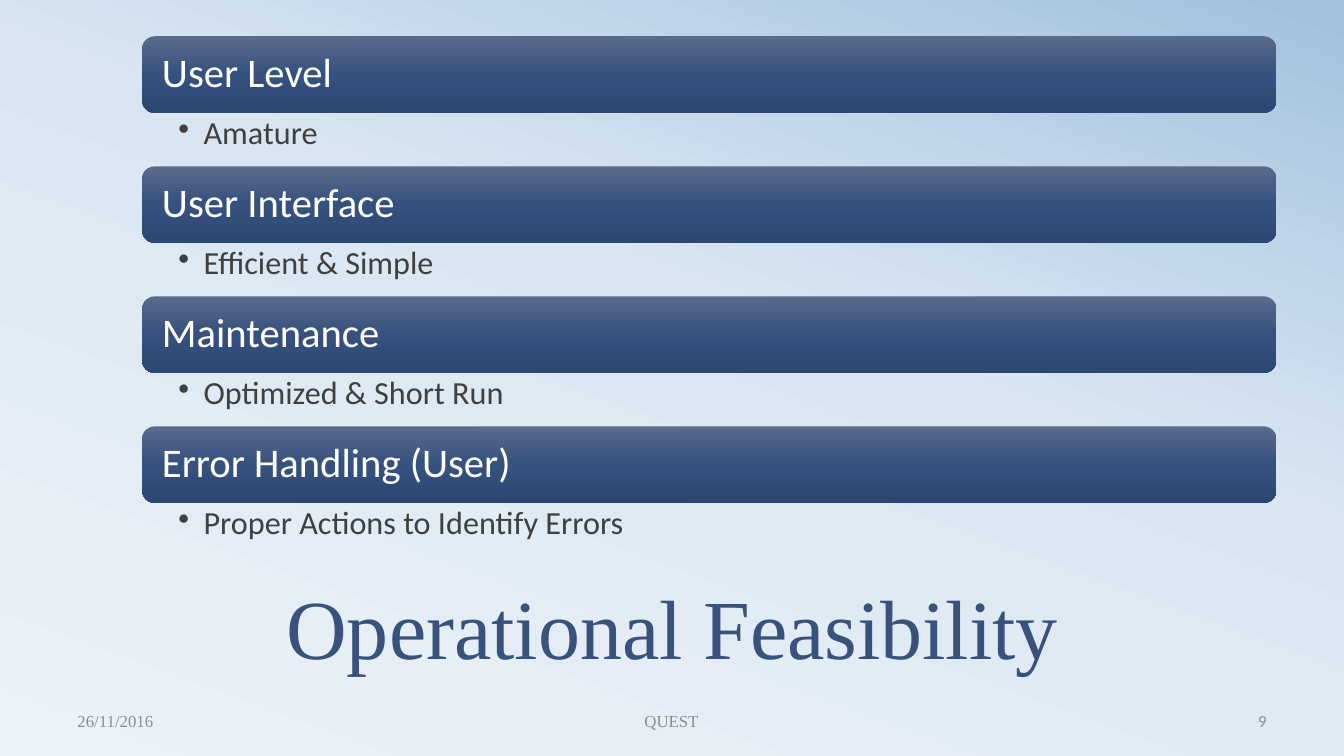
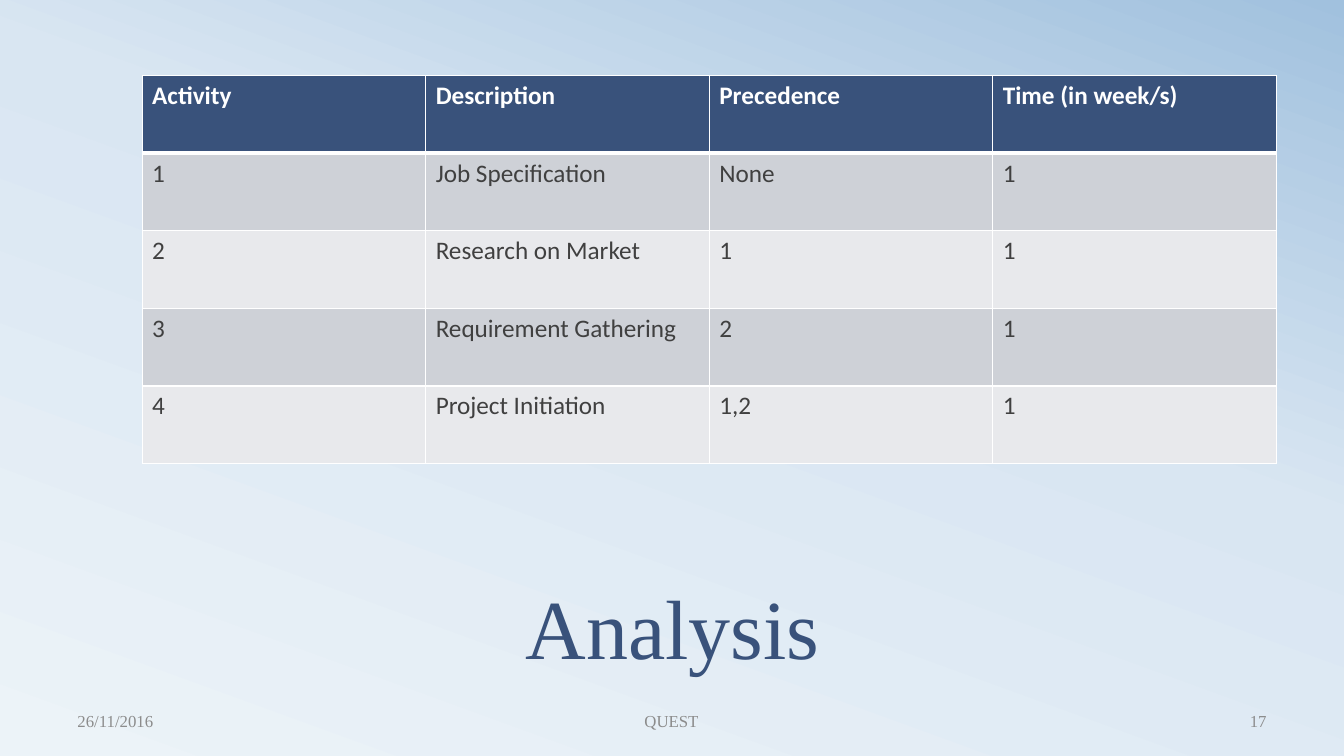
import copy
import pptx
import pptx.util
import pptx.dml.color
import pptx.enum.shapes
import pptx.enum.text
import pptx.oxml
import pptx.oxml.ns
import lxml.etree

Inches = pptx.util.Inches
Pt = pptx.util.Pt
RGB = pptx.dml.color.RGBColor
ALIGN = pptx.enum.text.PP_ALIGN
ANCHOR = pptx.enum.text.MSO_ANCHOR

NAVY = RGB(0x39, 0x52, 0x7B)
WHITE = RGB(0xFF, 0xFF, 0xFF)
BODY = RGB(0x40, 0x40, 0x40)
MUTED = RGB(0x8C, 0x8C, 0x8C)
ROW_FILLS = [RGB(0xCE, 0xD1, 0xD7), RGB(0xE8, 0xE9, 0xEC)]
BACKGROUND = [(0, RGB(0xEC, 0xF3, 0xF8)), (0.58, RGB(0xD9, 0xE6, 0xF2)), (1, RGB(0xA1, 0xC1, 0xDE))]
BAR = [(0, RGB(0x5A, 0x6A, 0x8B)), (0.5, RGB(0x36, 0x51, 0x7E)), (1, RGB(0x2D, 0x47, 0x73))]
SANS, SERIF = "Calibri", "Times New Roman"

LEFT, WIDTH = 1.41, 11.25
BAR_TOP, BAR_PITCH, BAR_HEIGHT = 0.36, 1.29, 0.76
TABLE_TOP, ROW_HEIGHT = 0.75, 0.77
PADDING = (0.1, 0.05, 0.1, 0.05)

FEASIBILITY = [
    ("User Level", "Amature"),
    ("User Interface", "Efficient & Simple"),
    ("Maintenance", "Optimized & Short Run"),
    ("Error Handling (User)", "Proper Actions to Identify Errors"),
]
ACTIVITIES = [
    ("Activity", "Description", "Precedence", "Time (in week/s)"),
    ("1", "Job Specification", "None", "1"),
    ("2", "Research on Market", "1", "1"),
    ("3", "Requirement Gathering", "2", "1"),
    ("4", "Project Initiation", "1,2", "1"),
]


def set_gradient(owner, fill, stops, angle):
    fill.gradient()
    fill.gradient_angle = 360 - angle
    stop_list = owner.element.xpath(".//a:gsLst")[0]
    while len(stop_list) < len(stops):
        stop_list.append(copy.deepcopy(stop_list[0]))
    for stop, (position, color) in zip(fill.gradient_stops, stops):
        stop.position = position
        stop.color.rgb = color


def write(tf, text, size, color, font=SANS, align=ALIGN.LEFT, spacing=1.0, bold=False):
    p = tf.paragraphs[0]
    p.alignment = align
    p.line_spacing = spacing
    r = p.add_run()
    r.text = text
    r.font.size = Pt(size)
    r.font.name = font
    r.font.bold = bold
    r.font.color.rgb = color
    return p


def set_frame(tf, anchor, padding=PADDING):
    tf.word_wrap = True
    tf.vertical_anchor = anchor
    tf.margin_left, tf.margin_top, tf.margin_right, tf.margin_bottom = map(Inches, padding)


def add_text(s, box, anchor, text, size, color, padding=PADDING, **style):
    tf = s.shapes.add_textbox(*map(Inches, box)).text_frame
    set_frame(tf, anchor, padding)
    return write(tf, text, size, color, **style)


def add_bullet(p):
    ppr = p._p.get_or_add_pPr()
    ppr.set("marL", str(Inches(0.25)))
    ppr.set("indent", str(-Inches(0.25)))
    bullet = lxml.etree.SubElement(ppr, pptx.oxml.ns.qn("a:buChar"))
    bullet.set("char", "•")


def set_borders(cell, widths):
    tcpr = cell._tc.get_or_add_tcPr()
    for side, width in zip("LRTB", widths):
        tcpr.append(pptx.oxml.parse_xml(
            f'<a:ln{side} {pptx.oxml.ns.nsdecls("a")} w="{Pt(width)}">'
            f'<a:solidFill><a:srgbClr val="{WHITE}"/></a:solidFill></a:ln{side}>'))


def add_slide(prs, title, number, number_font=SERIF):
    s = prs.slides.add_slide(prs.slide_layouts[6])
    add_text(s, (0.67, 5.72, 12, 1.03), ANCHOR.BOTTOM, title, 60, NAVY,
             font=SERIF, align=ALIGN.CENTER, spacing=0.8)
    footers = [
        (0.67, 3.11, "26/11/2016", ALIGN.LEFT, SERIF),
        (4.55, 4.22, "QUEST", ALIGN.CENTER, SERIF),
        (9.55, 3.11, number, ALIGN.RIGHT, number_font),
    ]
    for left, width, text, align, font in footers:
        add_text(s, (left, 6.95, width, 0.4), ANCHOR.MIDDLE, text, 12, MUTED,
                 font=font, align=align)
    return s


def add_feasibility(s):
    for i, (heading, detail) in enumerate(FEASIBILITY):
        top = BAR_TOP + i * BAR_PITCH
        bar = s.shapes.add_shape(pptx.enum.shapes.MSO_SHAPE.ROUNDED_RECTANGLE,
                                 *map(Inches, (LEFT, top, WIDTH, BAR_HEIGHT)))
        bar.shadow.inherit = False
        bar.line.fill.background()
        set_gradient(bar, bar.fill, BAR, 90)
        set_frame(bar.text_frame, ANCHOR.MIDDLE, (0.16, 0.12, 0.16, 0.12))
        write(bar.text_frame, heading, 29, WHITE, spacing=0.9)
        box = (LEFT, top + BAR_HEIGHT, WIDTH, BAR_PITCH - BAR_HEIGHT)
        add_bullet(add_text(s, box, ANCHOR.TOP, detail, 23, BODY,
                            padding=(0.36, 0.04, 0.23, 0.04), spacing=0.9))


def add_activities(s):
    rows, cols = len(ACTIVITIES), len(ACTIVITIES[0])
    box = (LEFT, TABLE_TOP, WIDTH, rows * ROW_HEIGHT)
    table = s.shapes.add_table(rows, cols, *map(Inches, box)).table
    for i, values in enumerate(ACTIVITIES):
        header = i == 0
        for j, text in enumerate(values):
            cell = table.cell(i, j)
            set_borders(cell, (1, 1, 3 if i == 1 else 1, 3 if header else 1))
            cell.fill.solid()
            cell.fill.fore_color.rgb = NAVY if header else ROW_FILLS[(i - 1) % 2]
            write(cell.text_frame, text, 18, WHITE if header else BODY, bold=header)


def main():
    prs = pptx.Presentation()
    prs.slide_width, prs.slide_height = Inches(13.33), Inches(7.5)
    master = prs.slide_master
    set_gradient(master, master.background.fill, BACKGROUND, 290)
    add_feasibility(add_slide(prs, "Operational Feasibility", "9", SANS))
    add_activities(add_slide(prs, "Analysis", "17"))
    prs.save("out.pptx")


if __name__ == "__main__":
    main()
